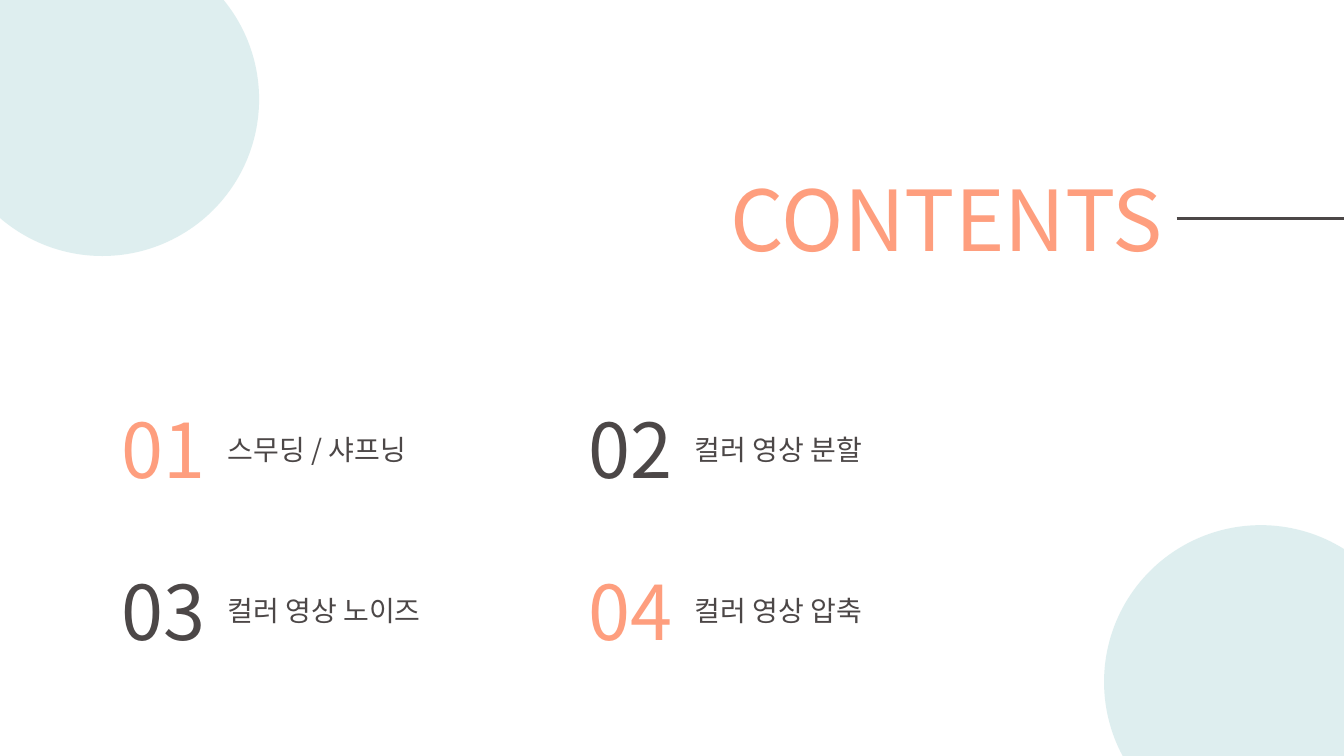
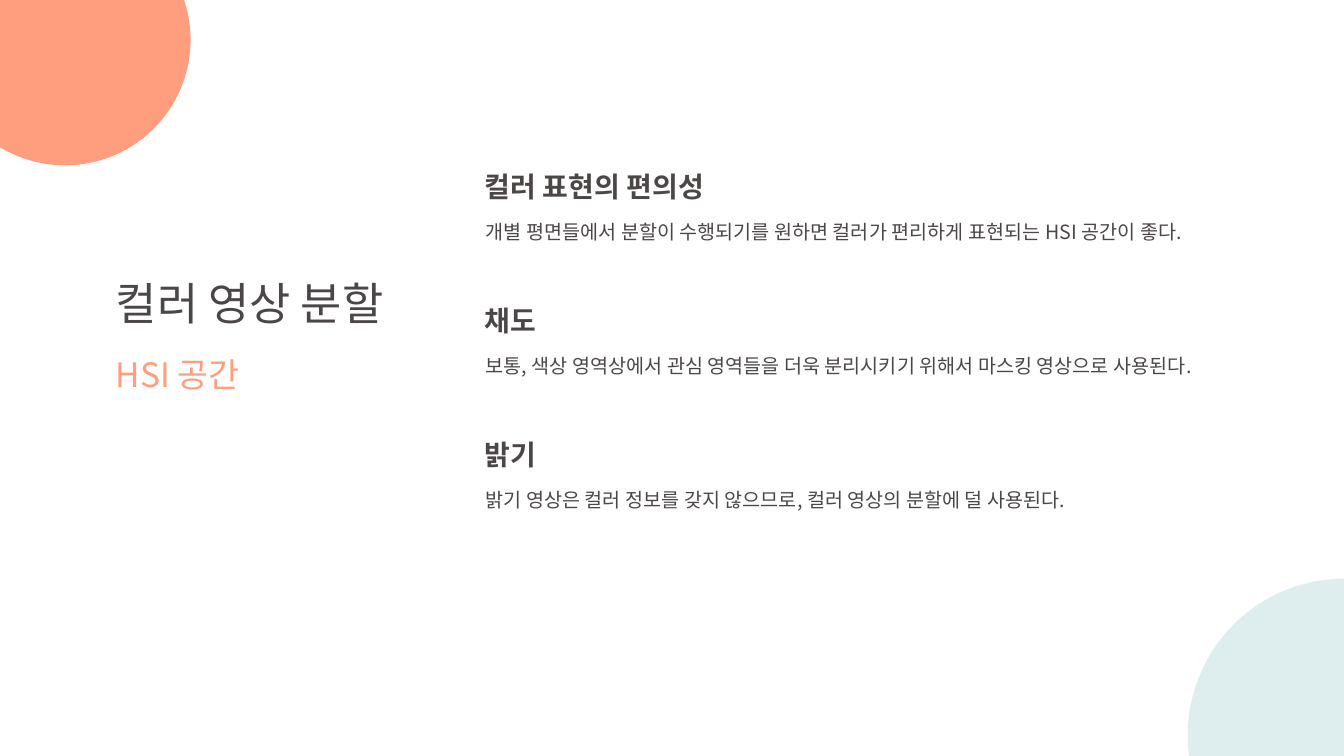
from lxml import etree
from pptx import Presentation
from pptx.dml.color import RGBColor
from pptx.enum.shapes import MSO_CONNECTOR, MSO_SHAPE
from pptx.enum.text import MSO_AUTO_SIZE
from pptx.oxml.ns import qn
from pptx.util import Inches, Pt

COLORS = {"ink": "4C4747", "coral": "FE9E7E", "mint": "C8E4E5", "paper": "FFFFFF"}
FONT = "Noto Sans CJK KR"
LARGE_CIRCLE = 3.11
MINT_OPACITY = 60

CONTENTS = [
    ("01", "스무딩 / 샤프닝", 2.19, "coral"),
    ("02", "컬러 영상 분할", 2.08, "ink"),
    ("03", "컬러 영상 노이즈", 2.36, "ink"),
    ("04", "컬러 영상 압축", 2.08, "coral"),
]
HSI_POINTS = [
    ("컬러 표현의 편의성", 2.64,
     "개별 평면들에서 분할이 수행되기를 원하면 컬러가 편리하게 표현되는 HSI 공간이 좋다.", 7.86),
    ("채도", 0.76,
     "보통, 색상 영역상에서 관심 영역들을 더욱 분리시키기 위해서 마스킹 영상으로 사용된다.", 8.04),
    ("밝기", 0.76,
     "밝기 영상은 컬러 정보를 갖지 않으므로, 컬러 영상의 분할에 덜 사용된다.", 6.62),
]


def rgb(color):
    return RGBColor.from_string(COLORS[color])


def add_slide(prs):
    slide = prs.slides.add_slide(prs.slide_layouts[6])
    slide.background.fill.solid()
    slide.background.fill.fore_color.rgb = rgb("paper")
    return slide


def add_text(shapes, text, left, top, width, height, size, color="ink", bold=False):
    box = shapes.add_textbox(Inches(left), Inches(top), Inches(width), Inches(height))
    frame = box.text_frame
    frame.text = text
    frame.word_wrap = False
    frame.auto_size = MSO_AUTO_SIZE.SHAPE_TO_FIT_TEXT
    for run in frame.paragraphs[0].runs:
        run.font.name = FONT
        run.font.size = Pt(size)
        run.font.bold = bold
        run.font.color.rgb = rgb(color)
        east_asian = etree.SubElement(run.font._element, qn("a:ea"))
        east_asian.set("typeface", FONT)


def add_circle(shapes, left, top, diameter, color, opacity=100):
    circle = shapes.add_shape(MSO_SHAPE.OVAL, Inches(left), Inches(top),
                              Inches(diameter), Inches(diameter))
    circle.shadow.inherit = False
    circle.line.fill.background()
    circle.fill.solid()
    circle.fill.fore_color.rgb = rgb(color)
    if opacity < 100:
        fill_color = circle._element.spPr.find(qn("a:solidFill"))[0]
        etree.SubElement(fill_color, qn("a:alpha")).set("val", str(opacity * 1000))


def add_rule(shapes, left, right, y):
    rule = shapes.add_connector(MSO_CONNECTOR.STRAIGHT, Inches(left), Inches(y),
                                Inches(right), Inches(y))
    rule.line.color.rgb = rgb("ink")
    rule.line.width = Pt(2.25)
    etree.SubElement(rule._element.spPr, qn("a:effectLst"))


def add_contents_entry(slide, left, top, number, label, label_width, color):
    shapes = slide.shapes.add_group_shape().shapes
    add_text(shapes, number, left, top, 1.05, 1.01, 54, color)
    add_text(shapes, label, left + 1.05, top + 0.29, label_width, 0.44, 20)


def add_point(slide, left, top, heading, heading_width, detail, detail_width):
    shapes = slide.shapes.add_group_shape().shapes
    add_text(shapes, heading, left, top, heading_width, 0.44, 20, bold=True)
    add_text(shapes, detail, left + 0.01, top + 0.5, detail_width, 0.34, 14)


def add_topic(slide, left, top, title, subtitle):
    shapes = slide.shapes.add_group_shape().shapes
    add_text(shapes, title, left, top, 3.21, 0.64, 32)
    add_text(shapes, subtitle, left, top + 0.77, 1.51, 0.5, 24, "coral")


def build_contents(prs):
    slide = add_slide(prs)
    add_text(slide.shapes, "CONTENTS", 7.15, 1.61, 4.52, 1.11, 60, "coral")
    add_rule(slide.shapes, 11.67, 13.33, 2.17)
    circles = slide.shapes.add_group_shape().shapes
    for left, top in [(-0.54, -0.57), (10.95, 5.21)]:
        add_circle(circles, left, top, LARGE_CIRCLE, "mint", MINT_OPACITY)
    for index, entry in enumerate(CONTENTS):
        row, column = divmod(index, 2)
        add_contents_entry(slide, 1.11 + column * 4.63, 3.95 + row * 1.6, *entry)


def build_hsi(prs):
    slide = add_slide(prs)
    add_circle(slide.shapes, -0.6, -0.85, 2.49, "coral")
    add_topic(slide, 1.05, 2.69, "컬러 영상 분할", "HSI 공간")
    add_circle(slide.shapes, 11.78, 5.74, LARGE_CIRCLE, "mint", MINT_OPACITY)
    for row, point in enumerate(HSI_POINTS):
        add_point(slide, 4.71, 1.63 + row * 1.33, *point)


def main():
    prs = Presentation()
    prs.slide_width, prs.slide_height = Inches(13.33), Inches(7.5)
    build_contents(prs)
    build_hsi(prs)
    prs.save("out.pptx")


if __name__ == "__main__":
    main()
